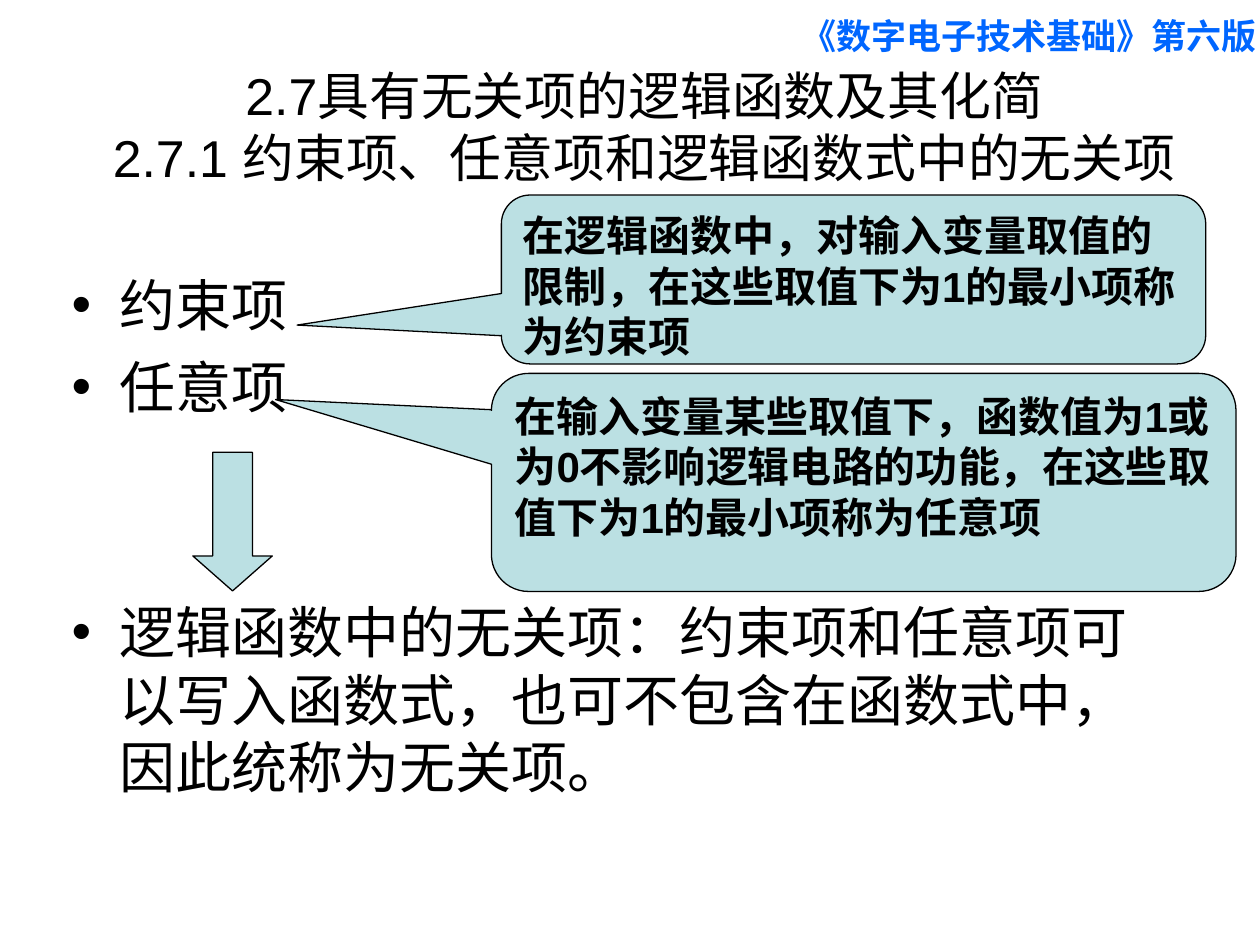
"""Build the slide on don't-care terms in logic functions."""
from pptx import Presentation
from pptx.dml.color import RGBColor
from pptx.enum.shapes import MSO_SHAPE
from pptx.enum.text import MSO_ANCHOR, MSO_AUTO_SIZE, PP_ALIGN
from pptx.util import Pt

CALLOUT = MSO_SHAPE.ROUNDED_RECTANGULAR_CALLOUT
DOWN_ARROW = MSO_SHAPE.DOWN_ARROW
TOP, MIDDLE = MSO_ANCHOR.TOP, MSO_ANCHOR.MIDDLE
LEFT, CENTER = PP_ALIGN.LEFT, PP_ALIGN.CENTER
NO_AUTOFIT = MSO_AUTO_SIZE.NONE

COLORS = {"text": "000000", "book": "0066FF", "panel": "BBE0E3", "outline": "000000"}
FORMATS = {
    "book": {"name": "Arial", "size": Pt(20), "bold": True},
    "title": {"name": "Arial", "size": Pt(29.6), "bold": False},
    "term": {"name": "Arial", "size": Pt(32), "bold": False},
    "definition": {"name": "Arial", "size": Pt(24), "bold": True},
}
TERMS = [
    ("约束项", 0),
    ("任意项", 8),
    ("逻辑函数中的无关项：约束项和任意项可以写入函数式，也可不包含在函数式中，因此统称为无关项。", 102),
]
DEFINITIONS = [
    ("在逻辑函数中，对输入变量取值的限制，在这些取值下为1的最小项称为约束项",
     (286.5, 111.5, 402.5, 96.5), (-0.79, 0.27, 0.17)),
    ("在输入变量某些取值下，函数值为1或为0不影响逻辑电路的功能，在这些取值下为1的最小项称为任意项",
     (280.8, 213.4, 425.5, 124.6), (-0.79, -0.38, 0.17)),
]


def color(role):
    return RGBColor.from_string(COLORS[role])


def format_paragraph(paragraph, style, role="text", align=LEFT):
    paragraph.alignment = align
    for run in paragraph.runs:
        for attribute, value in FORMATS[style].items():
            setattr(run.font, attribute, value)
        run.font.color.rgb = color(role)


def place(placeholder, box, anchor):
    for attribute, value in zip(("left", "top", "width", "height"), box):
        setattr(placeholder, attribute, Pt(value))
    frame = placeholder.text_frame
    frame.auto_size = NO_AUTOFIT
    frame.vertical_anchor = anchor
    return frame


def add_book_name(slide, name, box):
    frame = slide.shapes.add_textbox(*map(Pt, box)).text_frame
    frame.text = name
    format_paragraph(frame.paragraphs[0], "book", "book")


def add_title(slide, title, box):
    frame = place(slide.shapes.title, box, MIDDLE)
    frame.text = title
    format_paragraph(frame.paragraphs[0], "title", align=CENTER)


def add_terms(slide, terms, box):
    frame = place(slide.placeholders[1], box, TOP)
    frame.text = "\n".join(term for term, _ in terms)
    for paragraph, (_, gap) in zip(frame.paragraphs, terms):
        paragraph.space_before = Pt(gap)
        format_paragraph(paragraph, "term")


def add_panel(slide, kind, box, adjustments):
    panel = slide.shapes.add_shape(kind, *map(Pt, box))
    for index, value in enumerate(adjustments):
        panel.adjustments[index] = value
    panel.shadow.inherit = False
    panel.fill.solid()
    panel.fill.fore_color.rgb = color("panel")
    panel.line.color.rgb = color("outline")
    panel.line.width = Pt(0.75)
    return panel


def add_definition(slide, definition, box, adjustments):
    frame = add_panel(slide, CALLOUT, box, adjustments).text_frame
    frame.word_wrap = True
    frame.vertical_anchor = TOP
    frame.text = definition
    format_paragraph(frame.paragraphs[0], "definition")


def main():
    presentation = Presentation()
    presentation.slide_width, presentation.slide_height = Pt(720), Pt(540)
    slide = presentation.slides.add_slide(presentation.slide_layouts[1])
    add_book_name(slide, "《数字电子技术基础》第六版", (450.7, 5, 292.3, 31.7))
    add_title(slide, "2.7具有无关项的逻辑函数及其化简\v2.7.1 约束项、任意项和逻辑函数式中的无关项",
              (31, 26, 674.6, 92))
    add_terms(slide, TERMS, (33.8, 151.2, 640.8, 337.7))
    for definition, box, adjustments in DEFINITIONS:
        add_definition(slide, definition, box, adjustments)
    add_panel(slide, DOWN_ARROW, (110.2, 258.5, 45.4, 79.2), (0.5, 0.44))
    presentation.save("out.pptx")


if __name__ == "__main__":
    main()
